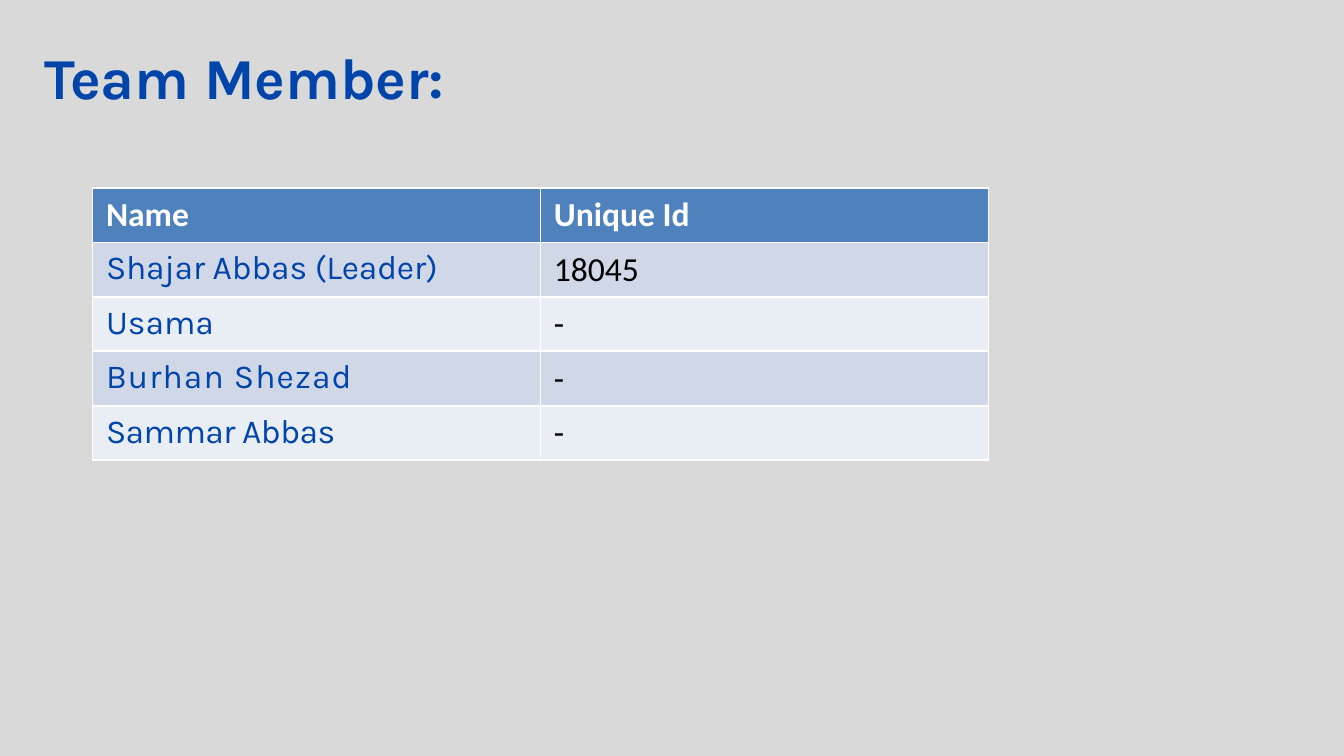
from pptx import Presentation
from pptx.dml.color import RGBColor
from pptx.util import Cm, Pt

BLUE = "0145AB"
WHITE = "FFFFFF"
BLACK = "000000"
BACKGROUND = "D9D9D9"
HEADER_FILL = "4F81BD"
BAND_FILLS = ("D0D8E8", "E9EDF4")

HEADERS = ("Name", "Unique Id")
# Name, letter spacing of the name in hundredths of a point, unique id
MEMBERS = (
    ("Shajar Abbas (Leader)", -10, "18045"),
    ("Usama", 0, "-"),
    ("Burhan Shezad", 60, "-"),
    ("Sammar Abbas", -30, "-"),
)


def color(hex_value):
    return RGBColor.from_string(hex_value)


def fill_solid(fill, hex_value):
    fill.solid()
    fill.fore_color.rgb = color(hex_value)


def write(text_frame, text, font_name, size, hex_value, bold=False, spacing=0):
    text_frame.text = text
    run = text_frame.paragraphs[0].runs[0]
    run.font.name = font_name
    run.font.size = Pt(size)
    run.font.bold = bold
    run.font.color.rgb = color(hex_value)
    if spacing:
        run.font._element.set("spc", str(spacing))


def add_title(slide, text):
    title = slide.shapes.add_textbox(Cm(0.84), Cm(0.79), Cm(18.75), Cm(1.32))
    text_frame = title.text_frame
    text_frame.word_wrap = True
    text_frame.margin_left = text_frame.margin_right = 0
    text_frame.margin_top = text_frame.margin_bottom = 0
    write(text_frame, text, "Karla", 31, BLUE, bold=True)


def add_member_table(slide):
    """Add the table; its default style draws the white borders."""
    row_count = len(MEMBERS) + 1
    table = slide.shapes.add_table(
        row_count, len(HEADERS), Cm(1.75), Cm(3.55), Cm(16.93), Cm(1.03) * row_count
    ).table

    for column, header in enumerate(HEADERS):
        cell = table.cell(0, column)
        fill_solid(cell.fill, HEADER_FILL)
        write(cell.text_frame, header, "Calibri", 18, WHITE, bold=True)

    for index, (name, spacing, unique_id) in enumerate(MEMBERS):
        name_cell, id_cell = table.rows[index + 1].cells
        for cell in (name_cell, id_cell):
            fill_solid(cell.fill, BAND_FILLS[index % 2])
        write(name_cell.text_frame, name, "Karla", 18, BLUE, spacing=spacing)
        write(id_cell.text_frame, unique_id, "Calibri", 18, BLACK)


def main():
    presentation = Presentation()
    presentation.slide_width = Cm(25.4)
    presentation.slide_height = Cm(14.29)
    slide = presentation.slides.add_slide(presentation.slide_layouts[6])
    fill_solid(slide.background.fill, BACKGROUND)
    add_title(slide, "Team Member:")
    add_member_table(slide)
    presentation.save("out.pptx")


if __name__ == "__main__":
    main()
